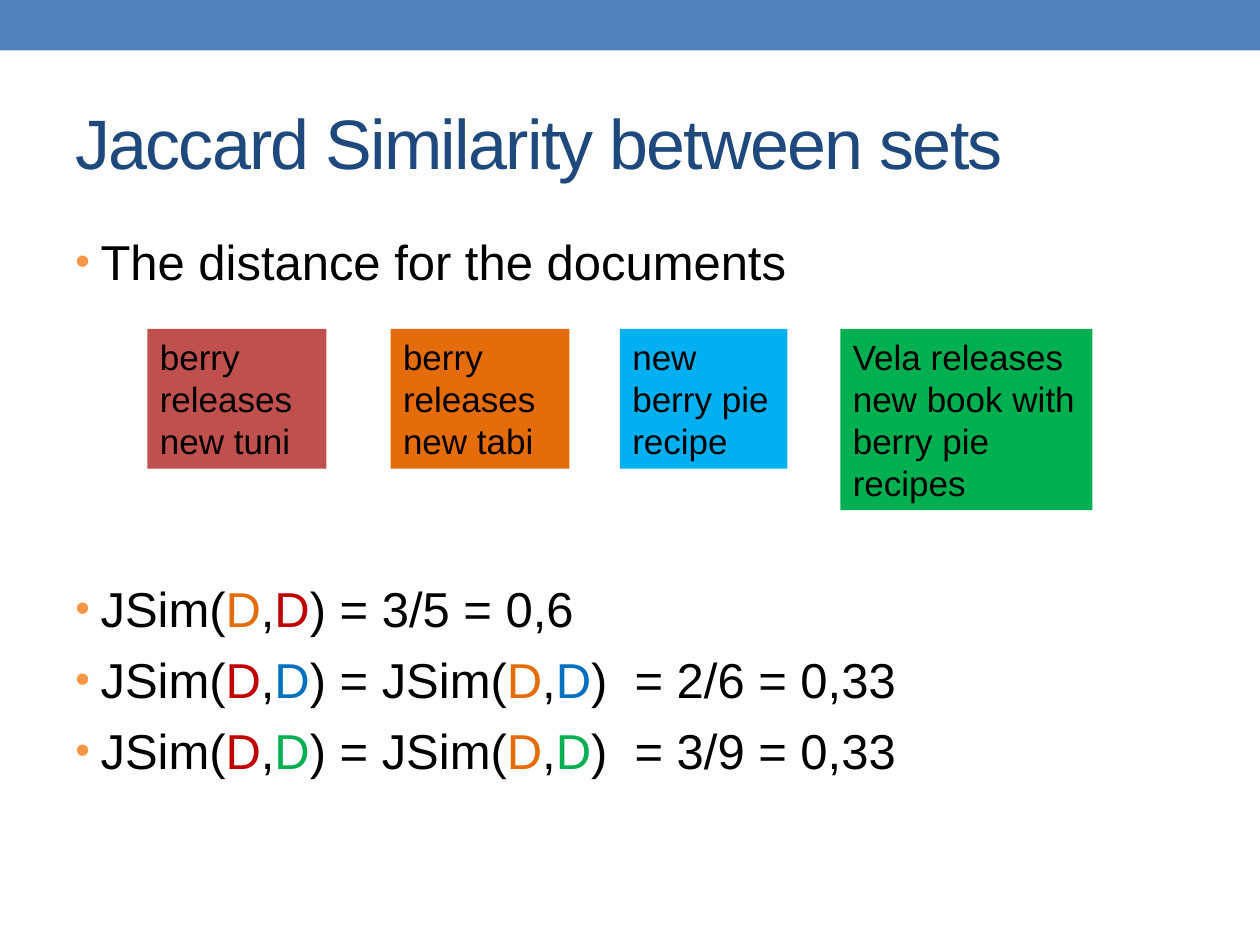
from typing import NamedTuple

from lxml.etree import SubElement
from pptx import Presentation
from pptx.dml.color import RGBColor
from pptx.enum.shapes import MSO_SHAPE
from pptx.enum.text import MSO_ANCHOR, PP_ALIGN
from pptx.oxml.ns import qn
from pptx.util import Inches, Pt

BLACK = RGBColor(0x00, 0x00, 0x00)
BAND = RGBColor(0x4F, 0x81, 0xBD)
TITLE = RGBColor(0x1F, 0x49, 0x7D)
BULLET = RGBColor(0xF7, 0x96, 0x46)
BRICK = RGBColor(0xC0, 0x50, 0x4D)
RED = RGBColor(0xC0, 0x00, 0x00)
ORANGE = RGBColor(0xE4, 0x6C, 0x0A)
SKY = RGBColor(0x00, 0xB0, 0xF0)
BLUE = RGBColor(0x00, 0x70, 0xC0)
GREEN = RGBColor(0x00, 0xB0, 0x50)


class Span(NamedTuple):
    text: str
    color: RGBColor = BLACK


class Bullet(NamedTuple):
    spans: list[Span]
    gap_after: float = 7


class Document(NamedTuple):
    text: str
    left: float
    width: float
    height: float
    fill: RGBColor


def jsim(first: RGBColor, second: RGBColor) -> list[Span]:
    return [Span("JSim("), Span("D", first), Span(","), Span("D", second), Span(")")]


BULLETS = [
    Bullet([Span("The distance for the documents")], 164.4),
    Bullet([*jsim(ORANGE, RED), Span(" = 3/5 = 0,6")]),
    Bullet([*jsim(RED, BLUE), Span(" = "), *jsim(ORANGE, BLUE), Span("  = 2/6 = 0,33")]),
    Bullet([*jsim(RED, GREEN), Span(" = "), *jsim(ORANGE, GREEN), Span("  = 3/9 = 0,33")]),
]

DOCUMENTS = [
    Document("berry releases new tuni", 1.17, 1.42, 1.11, BRICK),
    Document("berry releases new tabi", 3.1, 1.42, 1.11, ORANGE),
    Document("new berry pie recipe", 4.92, 1.33, 1.11, SKY),
    Document("Vela releases new book with berry pie recipes", 6.67, 2, 1.44, GREEN),
]


def add_run(p, span: Span, size: float):
    r = p.add_run()
    r.text = span.text
    for name, value in {"name": "Arial", "size": Pt(size)}.items():
        setattr(r.font, name, value)
    r.font.color.rgb = span.color
    return r


def add_rect(s, left: float, top: float, width: float, height: float, fill: RGBColor):
    sp = s.shapes.add_shape(
        MSO_SHAPE.RECTANGLE, Inches(left), Inches(top), Inches(width), Inches(height)
    )
    sp.shadow.inherit = False
    sp.fill.solid()
    sp.fill.fore_color.rgb = fill
    sp.line.fill.background()
    return sp


def add_text_frame(s, left: float, top: float, width: float, height: float, **format_values):
    sp = s.shapes.add_textbox(Inches(left), Inches(top), Inches(width), Inches(height))
    tf = sp.text_frame
    for name, value in {"word_wrap": True, **format_values}.items():
        setattr(tf, name, value)
    return tf


def set_bullet(p) -> None:
    pPr = p._p.get_or_add_pPr()
    pPr.set("marL", str(Inches(0.2)))
    pPr.set("indent", str(Inches(-0.2)))
    color = SubElement(pPr, qn("a:buClr"))
    SubElement(color, qn("a:srgbClr"), val=str(BULLET))
    SubElement(pPr, qn("a:buSzPct"), val="85000")
    SubElement(pPr, qn("a:buFont"), typeface="Arial")
    SubElement(pPr, qn("a:buChar"), char="•")


def add_title(s, text: str) -> None:
    tf = add_text_frame(s, 0.5, 0.58, 9, 1.08, vertical_anchor=MSO_ANCHOR.MIDDLE)
    r = add_run(tf.paragraphs[0], Span(text, TITLE), 40)
    r.font._element.set("spc", "-100")


def add_bullets(s, bullets: list[Bullet]) -> None:
    tf = add_text_frame(s, 0.5, 1.75, 9, 5.33, margin_top=Inches(0.09))
    for i, bullet in enumerate(bullets):
        p = tf.add_paragraph() if i else tf.paragraphs[0]
        p.space_after = Pt(bullet.gap_after)
        set_bullet(p)
        for span in bullet.spans:
            add_run(p, span, 28)


def add_document(s, doc: Document) -> None:
    sp = add_rect(s, doc.left, 2.61, doc.width, doc.height, doc.fill)
    tf = sp.text_frame
    for name, value in {"word_wrap": True, "vertical_anchor": MSO_ANCHOR.TOP}.items():
        setattr(tf, name, value)
    p = tf.paragraphs[0]
    p.alignment = PP_ALIGN.LEFT
    add_run(p, Span(doc.text), 20)


def main() -> None:
    prs = Presentation()
    prs.slide_width, prs.slide_height = Inches(10), Inches(7.5)
    s = prs.slides.add_slide(prs.slide_layouts[6])
    add_rect(s, 0, 0, 10, 0.4, BAND)
    add_title(s, "Jaccard Similarity between sets")
    add_bullets(s, BULLETS)
    for doc in DOCUMENTS:
        add_document(s, doc)
    prs.save("out.pptx")


if __name__ == "__main__":
    main()
